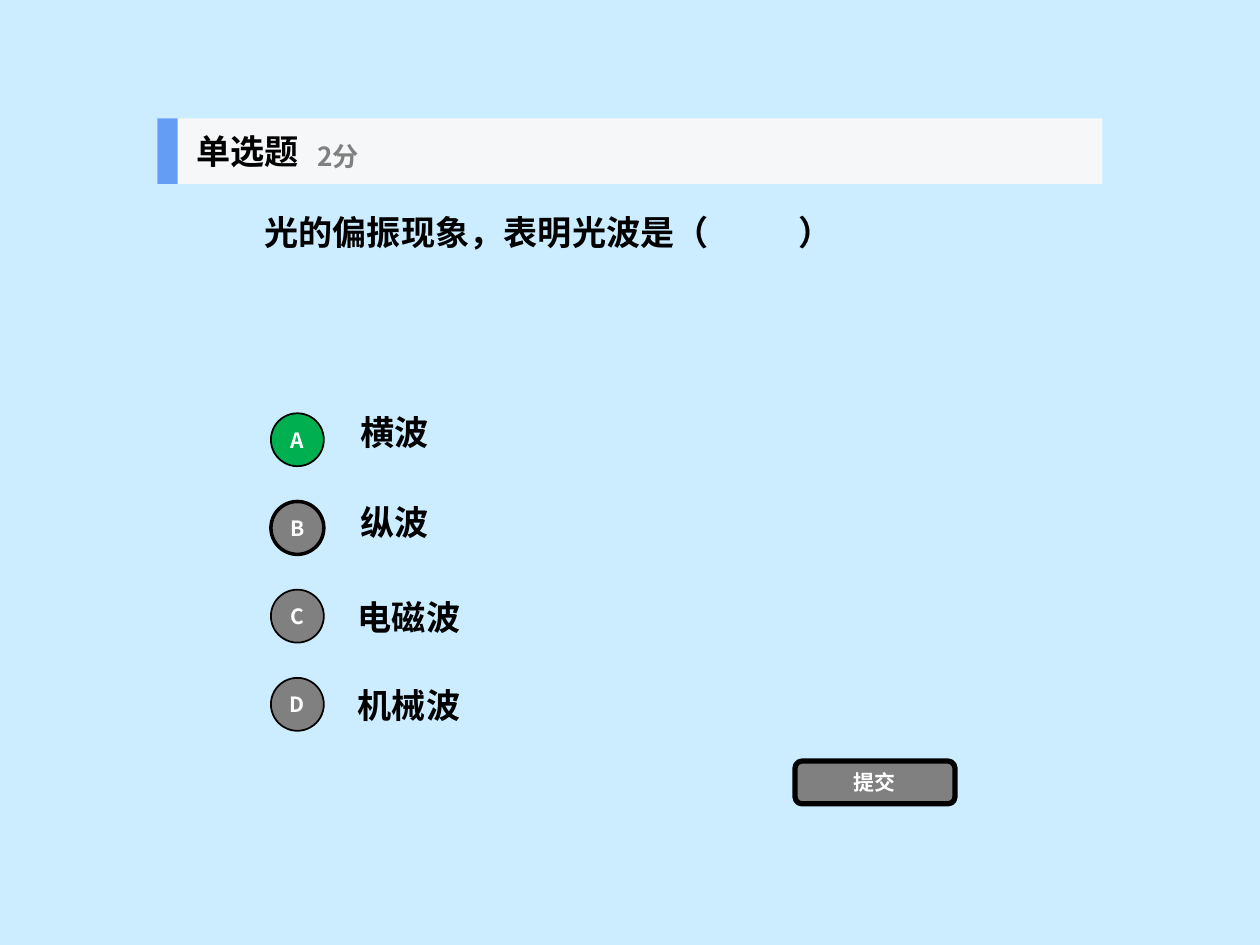
from dataclasses import dataclass

from lxml.etree import SubElement
from pptx import Presentation
from pptx.dml.color import RGBColor
from pptx.enum.shapes import MSO_SHAPE as Preset
from pptx.enum.text import MSO_ANCHOR as Anchor, PP_ALIGN as Align
from pptx.oxml.ns import qn
from pptx.shapes.autoshape import Shape
from pptx.slide import Slide
from pptx.util import Inches, Pt

FONT = "Noto Sans CJK SC"
BLACK, WHITE, GRAY, GREEN = "000000", "FFFFFF", "808080", "00B050"
BODY_SIZE, BUTTON_SIZE = 19.5, 12


@dataclass(frozen=True)
class Frame:
    left: float
    top: float
    width: float
    height: float

    def lengths(self) -> list[Inches]:
        return [Inches(value) for value in (self.left, self.top, self.width, self.height)]


@dataclass(frozen=True)
class Option:
    letter: str
    wording: str
    text_frame: Frame
    fill: str = GRAY
    border: float = 1


OPTIONS = [
    Option("A", "横波", Frame(2.76, 3.23, 5.24, 0.39), fill=GREEN),
    Option("B", "纵波", Frame(2.76, 3.88, 5.24, 0.53), border=2),
    Option("C", "电磁波", Frame(2.74, 4.63, 5.24, 0.53)),
    Option("D", "机械波", Frame(2.74, 5.33, 5.24, 0.53)),
]


def color(value: str) -> RGBColor:
    return RGBColor.from_string(value)


def write(box: Shape, wording: str, size: float, ink: str, align: Align = Align.LEFT) -> None:
    frame = box.text_frame
    frame.word_wrap = True
    frame.vertical_anchor = Anchor.MIDDLE
    para = frame.paragraphs[0]
    para.alignment = align
    span = para.add_run()
    span.text = wording
    span.font.name = FONT
    span.font.size = Pt(size)
    span.font.bold = True
    span.font.color.rgb = color(ink)
    SubElement(span.font._element, qn("a:ea"), typeface=FONT)


def add_label(page: Slide, place: Frame, wording: str, size: float = BODY_SIZE, ink: str = BLACK) -> Shape:
    box = page.shapes.add_textbox(*place.lengths())
    write(box, wording, size, ink)
    return box


def add_block(page: Slide, preset: Preset, place: Frame, fill: str, border: float = 0) -> Shape:
    block = page.shapes.add_shape(preset, *place.lengths())
    block.shadow.inherit = False
    block.fill.solid()
    block.fill.fore_color.rgb = color(fill)
    if border:
        block.line.color.rgb = color(BLACK)
        block.line.width = Pt(border)
    else:
        block.line.fill.background()
    return block


def add_button(page: Slide, preset: Preset, place: Frame, wording: str, fill: str, border: float) -> None:
    button = add_block(page, preset, place, fill, border)
    frame = button.text_frame
    frame.margin_left = frame.margin_right = frame.margin_top = frame.margin_bottom = 0
    write(button, wording, BUTTON_SIZE, WHITE, Align.CENTER)


def add_question(page: Slide) -> None:
    box = add_label(page, Frame(2, 1.6, 7.05, 0.48), "光的偏振现象，表明光波是（\t）")
    properties = box.text_frame.paragraphs[0]._p.get_or_add_pPr()
    tabs = SubElement(properties, qn("a:tabLst"))
    SubElement(tabs, qn("a:tab"), pos=str(Inches(4.24)), algn="l")


def add_header(page: Slide) -> None:
    add_block(page, Preset.RECTANGLE, Frame(1.25, 0.94, 7.5, 0.52), "F6F7F8")
    add_block(page, Preset.RECTANGLE, Frame(1.25, 0.94, 0.16, 0.52), "639EF4")
    add_label(page, Frame(1.46, 0.94, 1.56, 0.52), "单选题")
    add_label(page, Frame(2.42, 1.03, 1.88, 0.42), "2分", 15, GRAY)


def main() -> None:
    deck = Presentation()
    deck.slide_width, deck.slide_height = Inches(10), Inches(7.5)
    page = deck.slides.add_slide(deck.slide_layouts[6])
    page.background.fill.solid()
    page.background.fill.fore_color.rgb = color("CCECFF")

    add_question(page)
    for row, option in enumerate(OPTIONS):
        add_label(page, option.text_frame, option.wording)
        circle = Frame(2.15, 3.28 + 0.7 * row, 0.42, 0.42)
        add_button(page, Preset.OVAL, circle, option.letter, option.fill, option.border)
    add_button(page, Preset.ROUNDED_RECTANGLE, Frame(6.31, 6.04, 1.27, 0.34), "提交", GRAY, 3)
    add_header(page)
    deck.save("out.pptx")


if __name__ == "__main__":
    main()
